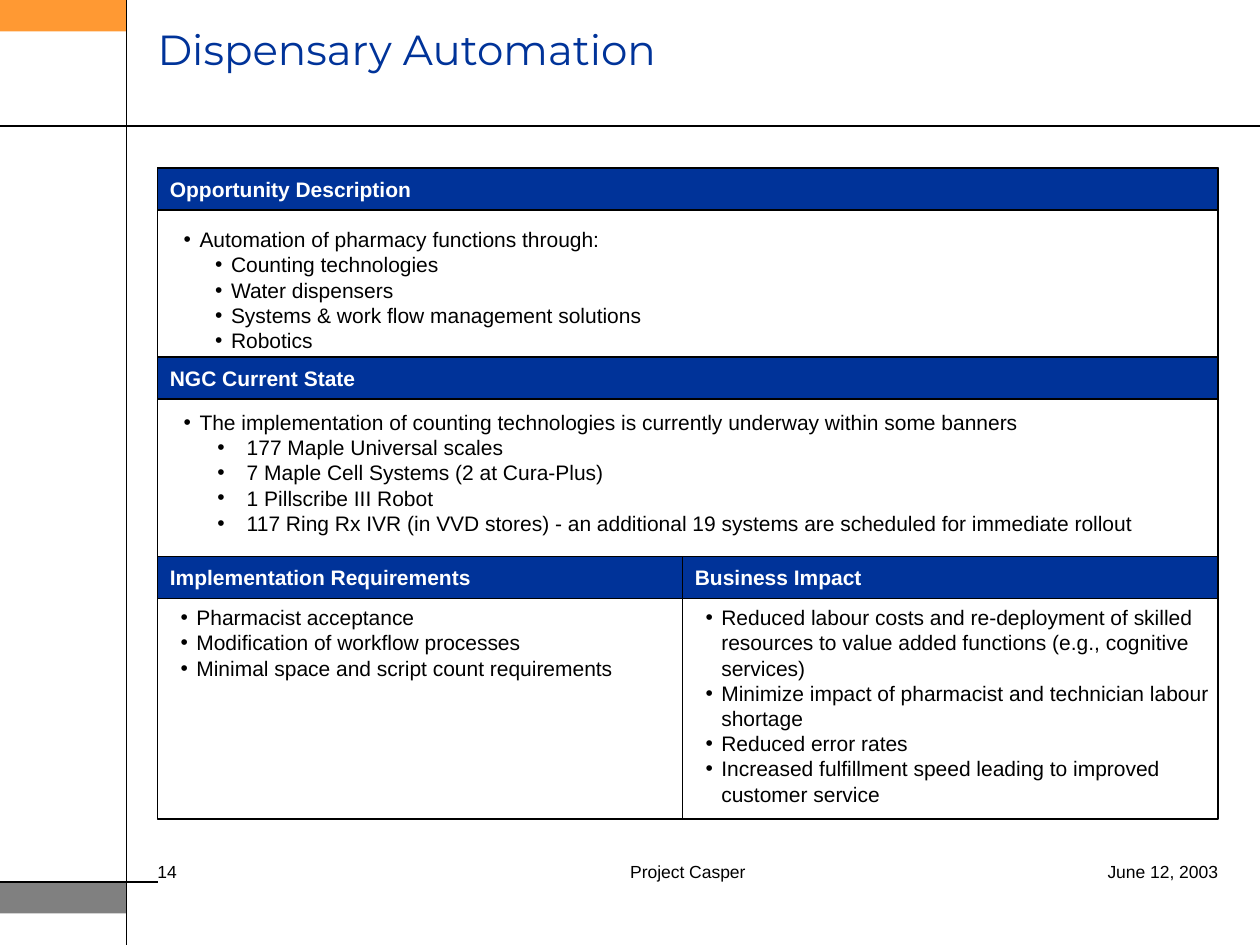
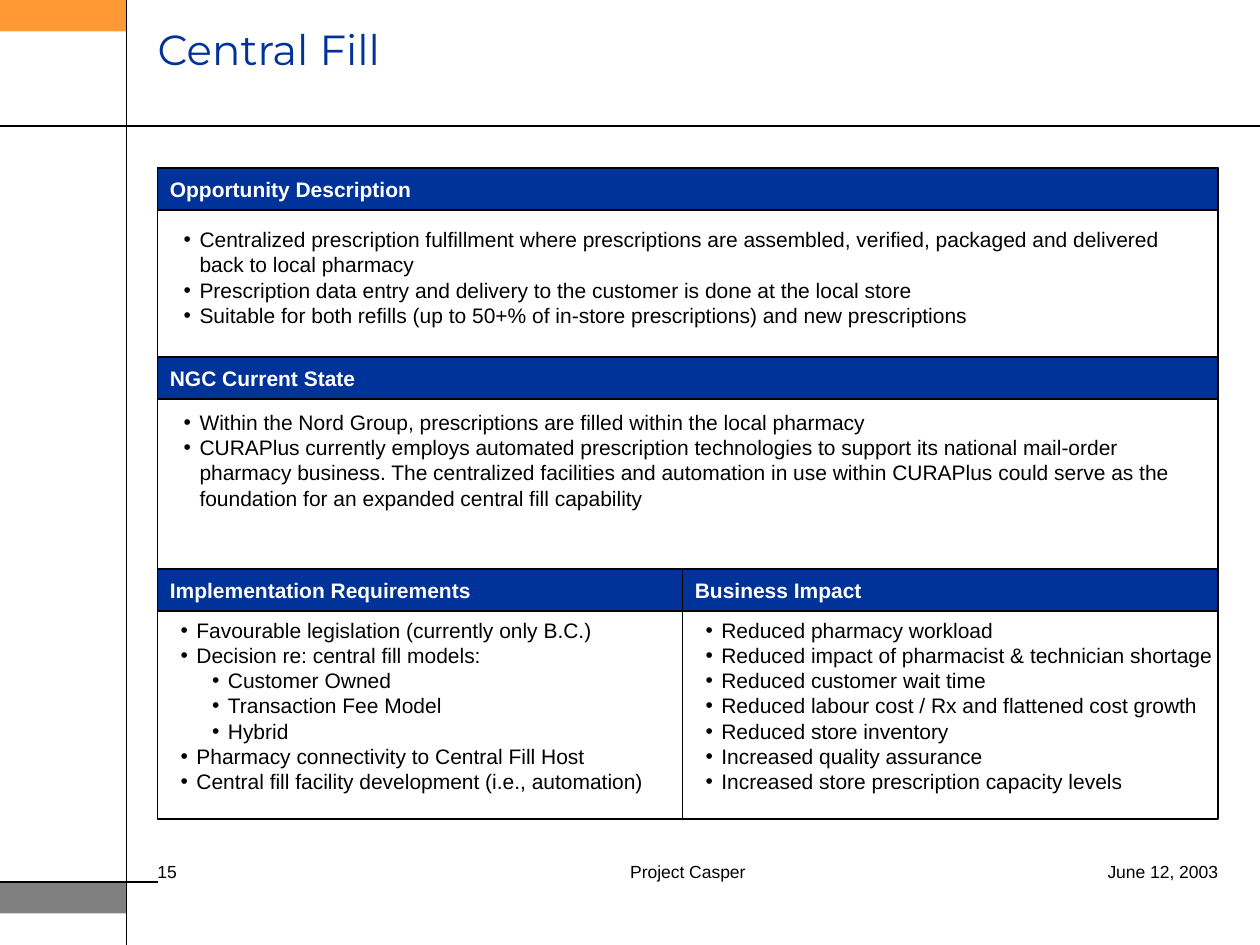
from dataclasses import dataclass
from lxml.etree import SubElement as Sub
from pptx import Presentation
from pptx.dml.color import RGBColor as Rgb
from pptx.enum.shapes import MSO_CONNECTOR as Conn, MSO_SHAPE as Form
from pptx.enum.text import MSO_ANCHOR as Anchor, MSO_AUTO_SIZE as Auto, PP_ALIGN as Align
from pptx.oxml.ns import qn
from pptx.util import Pt


@dataclass(frozen=True)
class Theme:
    """Colours, fonts, type sizes and line widths."""
    blue: str = "003399"
    gold: str = "FF9933"
    gray: str = "808080"
    black: str = "000000"
    white: str = "FFFFFF"
    head: str = "Montserrat"
    text: str = "Arial"
    big: int = 24
    body: int = 12
    small: int = 10
    lead: float = 14.4
    thin: float = 0.5
    line: float = 0.75


LOOK = Theme()
SCALE = 7620
WIDE, HIGH = 1200, 900
RAIL = 120
BAND = 30
PAGE = (150, 160, 1010, 620)
FOOT = (150, 820, 1010, 60)
BAR = 40
PAD = (12, 6)
STEPS = ((15, 15), (45, 15), (60, 28))


def emu(*vals):
    """Turn px lengths into EMU."""
    return [val * SCALE for val in vals]


def mark(para, step):
    """Give a paragraph a hanging bullet."""
    left, hang = emu(*STEPS[step])
    para.level = min(step, 1)
    props = para._p.get_or_add_pPr()
    props.set("marL", str(left))
    props.set("indent", str(-hang))
    tint = Sub(props, qn("a:buClr"))
    Sub(tint, qn("a:srgbClr"), val=LOOK.black)
    Sub(props, qn("a:buFont"), typeface=LOOK.text)
    Sub(props, qn("a:buChar"), char="•")


def write(shape, items, size=LOOK.body, font=LOOK.text, color=LOOK.black, bold=False,
          align=Align.LEFT, anchor=Anchor.TOP, pad=(0, 0), lead=None, list_=False):
    """Fill a shape with formatted paragraphs of (step, text)."""
    frame = shape.text_frame
    frame.word_wrap = True
    frame.auto_size = Auto.NONE
    frame.vertical_anchor = anchor
    frame.margin_left, frame.margin_top = emu(*pad)
    frame.margin_right, frame.margin_bottom = emu(*pad)
    for num, (step, text) in enumerate(items):
        para = frame.add_paragraph() if num else frame.paragraphs[0]
        if list_:
            mark(para, step)
        para.alignment = align
        para.space_before = Pt(0)
        if lead:
            para.line_spacing = lead
        run = para.add_run()
        run.text = text
        run.font.size = Pt(size)
        run.font.name = font
        run.font.bold = bold
        run.font.color.rgb = Rgb.from_string(color)


def place(shape, box):
    """Move a placeholder to a box."""
    shape.left, shape.top, shape.width, shape.height = emu(*box)


def rect(slide, box, fill=None, line=None):
    """Draw a flat rectangle."""
    shape = slide.shapes.add_shape(Form.RECTANGLE, *emu(*box))
    shape.shadow.inherit = False
    if fill:
        shape.fill.solid()
        shape.fill.fore_color.rgb = Rgb.from_string(fill)
    else:
        shape.fill.background()
    if line:
        shape.line.color.rgb = Rgb.from_string(line)
        shape.line.width = Pt(LOOK.line)
    else:
        shape.line.fill.background()
    return shape


def rule(slide, ends, width=LOOK.line):
    """Draw a straight black line."""
    line = slide.shapes.add_connector(Conn.STRAIGHT, *emu(*ends))
    line.line.color.rgb = Rgb.from_string(LOOK.black)
    line.line.width = Pt(width)
    Sub(line._element.spPr, qn("a:effectLst"))


def trim(slide):
    """Draw the bands and rules at the slide's edges."""
    low = HIGH - 2 * BAND
    rect(slide, (0, 0, RAIL, BAND), LOOK.gold)
    rule(slide, (RAIL, 0, RAIL, HIGH), LOOK.thin)
    rule(slide, (0, RAIL, WIDE, RAIL))
    rect(slide, (0, low, RAIL, BAND), LOOK.gray)
    rule(slide, (0, low, PAGE[0], low))


def title(slide, text):
    """Set the slide title."""
    shape = slide.shapes.title
    place(shape, (150, 30, 790, 90))
    write(shape, [(0, text)], size=LOOK.big, font=LOOK.head, color=LOOK.blue, lead=0.85)


def panel(slide, box, split, lists):
    """Draw the four headed sections inside a box."""
    left, top, width, height = box
    half = 500
    mid, right, end = left + half, width - half, top + height
    low = top + split
    rect(slide, box, line=LOOK.black)
    heads = (
        ("Opportunity Description", (left, top, width, BAR)),
        ("NGC Current State", (left, top + 180, width, BAR)),
        ("Implementation Requirements", (left, low, half, BAR)),
        ("Business Impact", (mid, low, right, BAR)),
    )
    for text, spot in heads:
        bar = rect(slide, spot, LOOK.blue, LOOK.black)
        write(bar, [(0, text)], color=LOOK.white, bold=True, anchor=Anchor.MIDDLE, pad=PAD)
    rule(slide, (mid, low + BAR, mid, end))
    deep = end - low - BAR
    spots = (
        (left + 13, top + 50, 977, 132),
        (left + 13, top + 224, 977, split - 224),
        (left + 10, low + BAR, 480, deep),
        (mid + 10, low + BAR, right, deep),
    )
    for num, (spot, items) in enumerate(zip(spots, lists), 1):
        shape = slide.placeholders[num]
        place(shape, spot)
        write(shape, items, pad=PAD, lead=Pt(LOOK.lead), list_=True)


def footer(slide, box, num):
    """Write page number, project and date in a box."""
    left, top, width, height = box
    side = 250
    parts = (
        (str(num), 0, side, Align.LEFT),
        ("Project Casper", side, width - 2 * side, Align.CENTER),
        ("June 12, 2003", width - side, side, Align.RIGHT),
    )
    for text, shift, span, align in parts:
        shape = slide.shapes.add_textbox(*emu(left + shift, top, span, height))
        write(shape, [(0, text)], size=LOOK.small, align=align)


DECK = (
    (14, "Dispensary Automation", 370, (
        ((0, "Automation of pharmacy functions through:"),
         (1, "Counting technologies"),
         (1, "Water dispensers"),
         (1, "Systems & work flow management solutions"),
         (1, "Robotics")),
        ((0, "The implementation of counting technologies is currently underway within some banners"),
         (2, "177 Maple Universal scales"),
         (2, "7 Maple Cell Systems (2 at Cura-Plus)"),
         (2, "1 Pillscribe III Robot"),
         (2, "117 Ring Rx IVR (in VVD stores) - an additional 19 systems are scheduled "
             "for immediate rollout")),
        ((0, "Pharmacist acceptance"),
         (0, "Modification of workflow processes"),
         (0, "Minimal space and script count requirements")),
        ((0, "Reduced labour costs and re-deployment of skilled resources to value added "
             "functions (e.g., cognitive services)"),
         (0, "Minimize impact of pharmacist and technician labour shortage"),
         (0, "Reduced error rates"),
         (0, "Increased fulfillment speed leading to improved customer service")),
    )),
    (15, "Central Fill", 382, (
        ((0, "Centralized prescription fulfillment where prescriptions are assembled, verified, "
             "packaged and delivered back to local pharmacy"),
         (0, "Prescription data entry and delivery to the customer is done at the local store"),
         (0, "Suitable for both refills (up to 50+% of in-store prescriptions) and new "
             "prescriptions")),
        ((0, "Within the Nord Group, prescriptions are filled within the local pharmacy"),
         (0, "CURAPlus currently employs automated prescription technologies to support its "
             "national mail-order pharmacy business. The centralized facilities and automation "
             "in use within CURAPlus could serve as the foundation for an expanded central "
             "fill capability")),
        ((0, "Favourable legislation (currently only B.C.)"),
         (0, "Decision re: central fill models:"),
         (1, "Customer Owned"),
         (1, "Transaction Fee Model"),
         (1, "Hybrid"),
         (0, "Pharmacy connectivity to Central Fill Host"),
         (0, "Central fill facility development (i.e., automation)")),
        ((0, "Reduced pharmacy workload"),
         (0, "Reduced impact of pharmacist & technician shortage"),
         (0, "Reduced customer wait time"),
         (0, "Reduced labour cost / Rx and flattened cost growth"),
         (0, "Reduced store inventory"),
         (0, "Increased quality assurance"),
         (0, "Increased store prescription capacity levels")),
    )),
)


def main():
    """Build and save the deck."""
    deck = Presentation()
    deck.slide_width, deck.slide_height = emu(WIDE, HIGH)
    for num, name, split, lists in DECK:
        slide = deck.slides.add_slide(deck.slide_layouts[4])
        trim(slide)
        title(slide, name)
        panel(slide, PAGE, split, lists)
        footer(slide, FOOT, num)
    deck.save("out.pptx")


if __name__ == "__main__":
    main()
